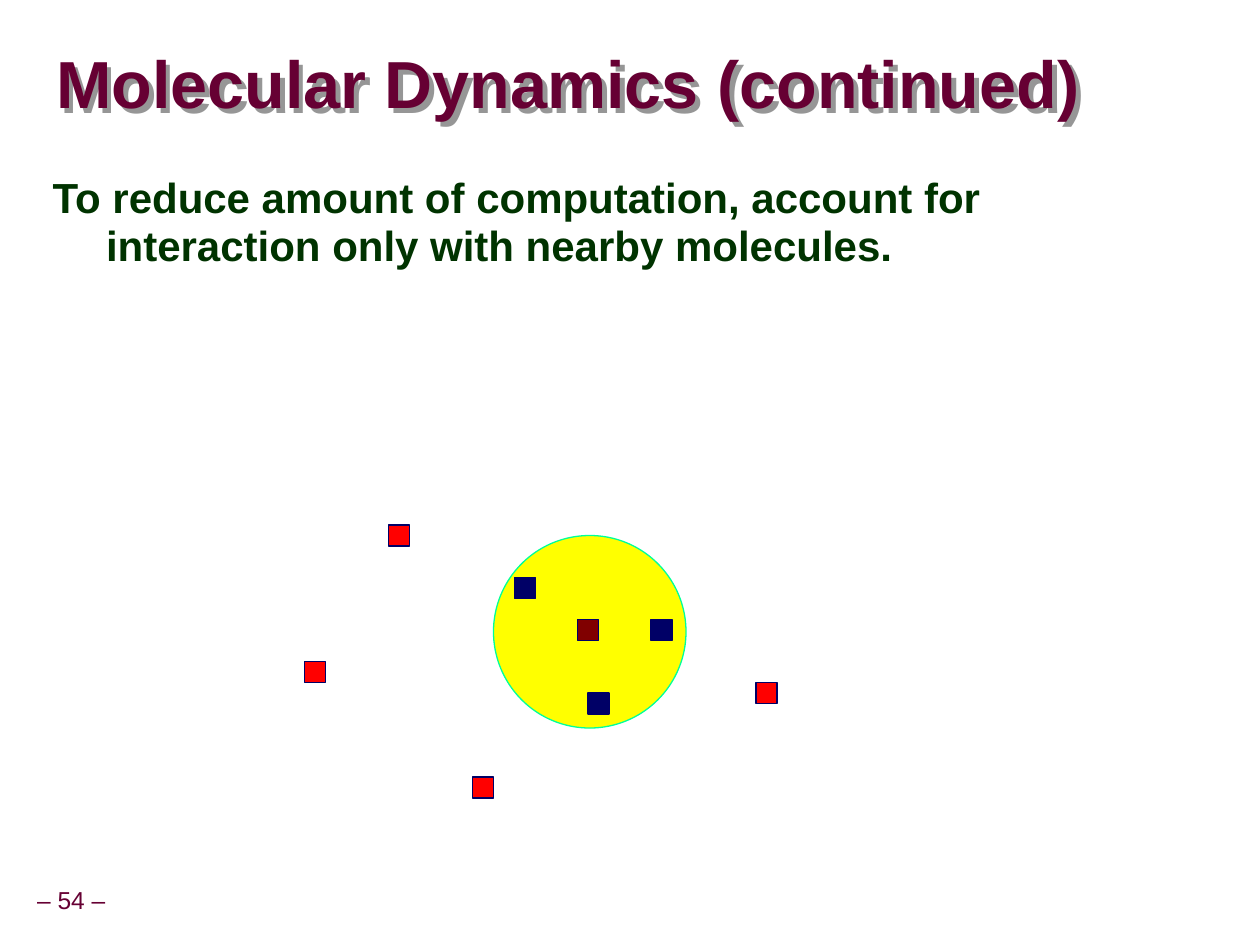
import pptx
import pptx.util
import pptx.dml.color
import pptx.enum.shapes
import pptx.enum.text
import pptx.oxml
import pptx.oxml.ns

Pt = pptx.util.Pt
SHAPES = pptx.enum.shapes.MSO_SHAPE
ALIGN = pptx.enum.text.PP_ALIGN
ANCHOR = pptx.enum.text.MSO_ANCHOR

COLORS = {
    "maroon": "660033", "green": "003300", "shadow": "969696",
    "yellow": "FFFF00", "mint": "00FF99", "navy": "000066",
    "red": "FF0000", "brown": "800000",
}


def color(name):
    return pptx.dml.color.RGBColor.from_string(COLORS[name])


def write_text(box, text, size, fill, bold=False, align=ALIGN.LEFT, anchor=ANCHOR.TOP,
               spacing=1.0, insets=(0, 0), hanging=0, wrap=True):
    frame = box.text_frame
    frame.auto_size = pptx.enum.text.MSO_AUTO_SIZE.NONE
    frame.word_wrap = wrap
    frame.vertical_anchor = anchor
    frame.margin_left = frame.margin_right = Pt(insets[0])
    frame.margin_top = frame.margin_bottom = Pt(insets[1])
    para = frame.paragraphs[0]
    para.alignment = align
    para.line_spacing = spacing
    if hanging:
        properties = para._p.get_or_add_pPr()
        properties.set("marL", str(Pt(hanging)))
        properties.set("indent", str(-Pt(hanging)))
    span = para.add_run()
    span.text = text
    span.font.name = "Arial"
    span.font.size = Pt(size)
    span.font.bold = bold
    span.font.color.rgb = color(fill)


class SlideBuilder:
    def __init__(self, deck):
        self.page = deck.slides.add_slide(deck.slide_layouts[5])
        self.line_width = 0.75

    def title(self, text, left, top, width, height, **style):
        box = self.page.shapes.title
        box.left, box.top, box.width, box.height = map(Pt, (left, top, width, height))
        write_text(box, text, **style)
        # Hard shadow behind the letters
        box._element.spPr.append(pptx.oxml.parse_xml(
            f'<a:effectLst {pptx.oxml.ns.nsdecls("a")}>'
            f'<a:outerShdw dist="{Pt(4)}" dir="2700000" algn="ctr" rotWithShape="0">'
            f'<a:srgbClr val="{COLORS["shadow"]}"/></a:outerShdw></a:effectLst>'))

    def text(self, text, left, top, width, height, **style):
        box = self.page.shapes.add_textbox(*map(Pt, (left, top, width, height)))
        write_text(box, text, **style)

    def shape(self, kind, left, top, size, fill, line):
        shape = self.page.shapes.add_shape(kind, Pt(left), Pt(top), Pt(size), Pt(size))
        shape.shadow.inherit = False
        shape.fill.solid()
        shape.fill.fore_color.rgb = color(fill)
        shape.line.color.rgb = color(line)
        shape.line.width = Pt(self.line_width)

    def molecule(self, left, top, fill):
        self.shape(SHAPES.RECTANGLE, left, top, 12, fill, "navy")


def main():
    deck = pptx.Presentation()
    deck.slide_width, deck.slide_height = Pt(720), Pt(540)
    slide = SlideBuilder(deck)

    # Title, statement and page number
    slide.title("Molecular Dynamics (continued)", 32, 19.5, 686, 61, size=38,
                fill="maroon", bold=True, anchor=ANCHOR.MIDDLE, spacing=0.87)
    slide.text("To reduce amount of computation, account for interaction only "
               "with nearby molecules.", 23, 96.5, 654.5, 411, size=24, fill="green",
               bold=True, spacing=0.95, insets=(7.2, 3.6), hanging=30.5)
    slide.text("– 54 –", -6.5, 504, 94.5, 22.5, size=14, fill="maroon",
               align=ALIGN.CENTER, anchor=ANCHOR.MIDDLE, spacing=0.9,
               insets=(3.6, 3.6), wrap=False)

    # Neighbourhood of the central molecule
    slide.shape(SHAPES.OVAL, 282, 306, 110, "yellow", "mint")

    # Central, nearby and distant molecules
    molecules = {
        "brown": [(330, 354)],
        "navy": [(372, 354), (336, 396), (294, 330)],
        "red": [(174, 378), (222, 300), (432, 390), (270, 444)],
    }
    for fill, corners in molecules.items():
        for left, top in corners:
            slide.molecule(left, top, fill)

    deck.save("out.pptx")


if __name__ == "__main__":
    main()
